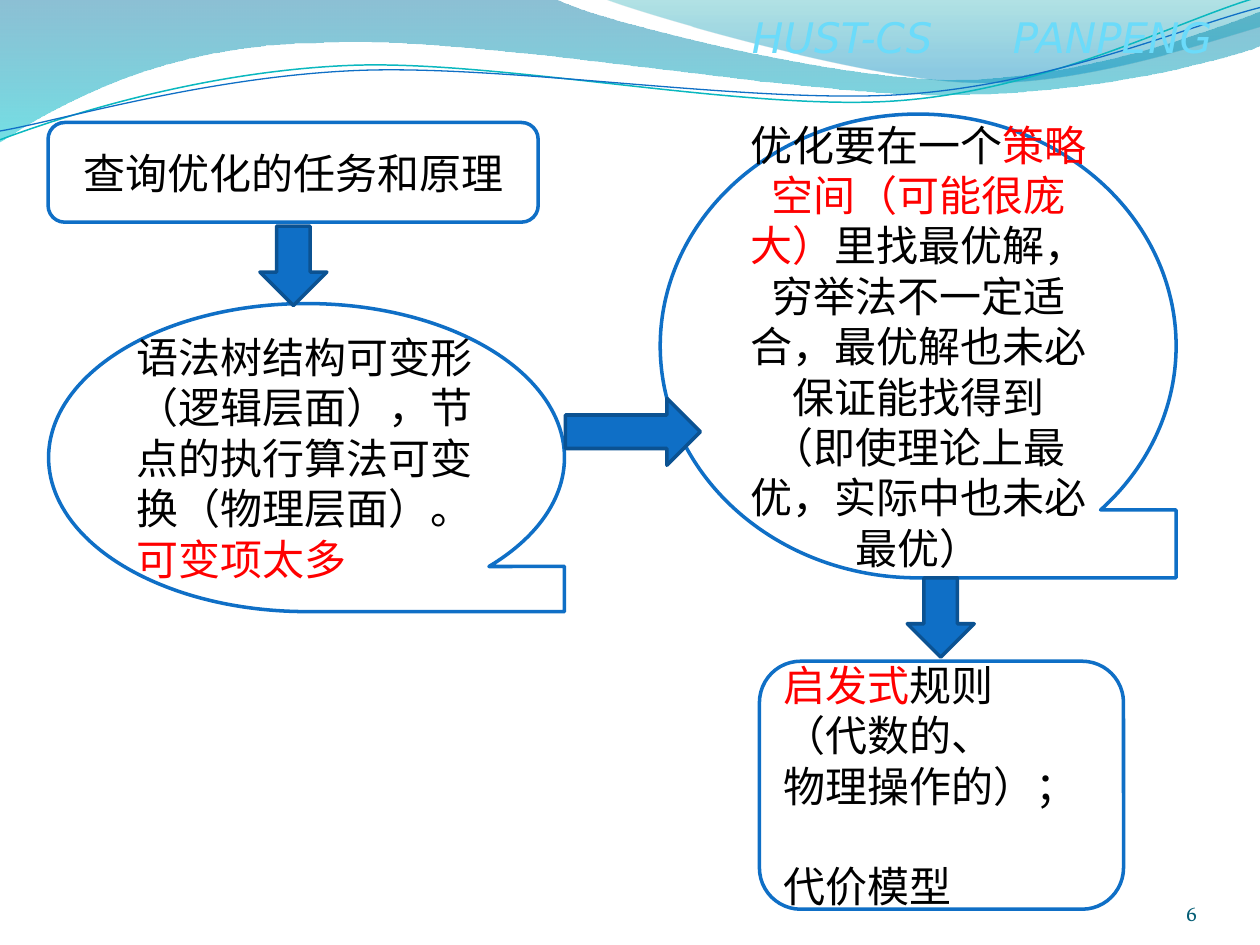
from pptx import Presentation
from pptx.dml.color import RGBColor
from pptx.enum.shapes import MSO_SHAPE as Preset
from pptx.enum.text import MSO_ANCHOR as Anchor, PP_ALIGN as Align
from pptx.oxml.ns import qn
from pptx.util import Cm, Pt
from lxml.etree import SubElement

BLUE = RGBColor(0x0F, 0x6F, 0xC6)
DARK_BLUE = RGBColor(0x0B, 0x52, 0x92)
TEAL = RGBColor(0x0A, 0xB8, 0xBF)
SKY = RGBColor(0x6B, 0xDB, 0xFA)
NUMBER_TEAL = RGBColor(0x04, 0x5D, 0x75)
WHITE = RGBColor(0xFF, 0xFF, 0xFF)
BLACK = RGBColor(0, 0, 0)
RED = RGBColor(0xFF, 0, 0)

CM_PER_INCH = 2.54

BAND_WAVE = [(0, -0.01), (4.4, -0.01), (4.76, 0.17, 6.64, 0.63, 7.58, 0.63),
             (8.53, 0.63, 9.58, 0.26, 10, 0.09), (10.01, 0.36),
             (9.83, 0.44, 8.7, 0.76, 7.46, 0.75),
             (6.22, 0.75, 3.82, 0.28, 2.57, 0.34),
             (1.29, 0.35, 0.46, 0.83, -0.01, 1.13)]
CORNER_WAVE = [(4.79, -0.01), (5.09, 0.11, 6.82, 0.62, 7.69, 0.65),
               (8.56, 0.69, 9.61, 0.32, 10, 0.21), (10, 0)]
TEAL_WAVE = [(0, 1.11), (0.48, 0.93, 1.58, 0.57, 2.77, 0.52),
             (3.95, 0.47, 5.93, 0.89, 7.13, 0.8),
             (8.33, 0.71, 9.38, 0.15, 9.98, -0.02)]
BLUE_WAVE = [(0, 1.04), (0.47, 0.96, 1.64, 0.61, 2.83, 0.56),
             (4.03, 0.51, 5.97, 0.83, 7.17, 0.75),
             (8.36, 0.67, 9.41, 0.21, 10, 0.06)]


def segment_points(segment):
    lengths = [Cm(value * CM_PER_INCH) for value in segment]
    return list(zip(lengths[::2], lengths[1::2]))


class SlideBuilder:
    body_format = {"name": "Vollkorn", "size": Pt(24)}
    asian_font = "Noto Sans CJK SC"
    line_spacing = Pt(28.8)
    outline_width = Pt(2)

    def __init__(self, slide):
        self.slide = slide

    def outline(self, shape, color, width):
        shape.shadow.inherit = False
        shape.line.color.rgb = color
        shape.line.width = width

    def wave(self, segments, closed):
        start, *groups = map(segment_points, segments)
        builder = self.slide.shapes.build_freeform(*start[0], scale=1.0)
        builder.add_line_segments([point for group in groups for point in group], close=closed)
        shape = builder.convert_to_shape()
        shape.shadow.inherit = False
        lines = iter(list(shape._element.spPr.iter(qn("a:lnTo"))))
        for group in groups:
            parts = [next(lines) for _ in group]
            if len(parts) == 3:
                outline = parts[0].getparent()
                curve = outline.makeelement(qn("a:cubicBezTo"))
                parts[0].addprevious(curve)
                for part in parts:
                    curve.append(part[0])
                    outline.remove(part)
        return shape

    def filled_wave(self, segments, stops):
        shape = self.wave(segments, True)
        shape.fill.gradient()
        shape.fill.gradient_angle = 270
        for stop, (position, color, _) in zip(shape.fill.gradient_stops, stops):
            stop.position = position
            stop.color.rgb = RGBColor.from_string(color)
        colors = shape._element.spPr.iter(qn("a:srgbClr"))
        for color, (_, _, opacity) in zip(colors, stops):
            SubElement(color, qn("a:alpha"), val=str(opacity * 1000))
        shape.line.fill.background()

    def line_wave(self, segments, color, width):
        shape = self.wave(segments, False)
        shape.fill.background()
        self.outline(shape, color, width)

    def write_run(self, paragraph, text, color, formats):
        run = paragraph.add_run()
        run.text = text
        for name, value in formats.items():
            setattr(run.font, name, value)
        run.font.color.rgb = color
        SubElement(run._r.get_or_add_rPr(), qn("a:ea"), typeface=self.asian_font)

    def node(self, preset, position, paragraphs, alignment, last_gap=None):
        shape = self.slide.shapes.add_shape(preset, *map(Cm, position))
        shape.fill.solid()
        shape.fill.fore_color.rgb = WHITE
        self.outline(shape, BLUE, self.outline_width)
        frame = shape.text_frame
        frame.word_wrap = True
        frame.vertical_anchor = Anchor.MIDDLE
        for index, runs in enumerate(paragraphs):
            paragraph = frame.add_paragraph() if index else frame.paragraphs[0]
            paragraph.alignment = alignment
            paragraph.line_spacing = self.line_spacing
            paragraph._p.get_or_add_pPr().set("hangingPunct", "0")
            for text, color in runs:
                self.write_run(paragraph, text, color, self.body_format)
        if last_gap:
            paragraph.space_before = last_gap

    def arrow(self, preset, position):
        shape = self.slide.shapes.add_shape(preset, *map(Cm, position))
        shape.fill.solid()
        shape.fill.fore_color.rgb = BLUE
        self.outline(shape, DARK_BLUE, self.outline_width)

    def label(self, position, text, color, formats, frame_formats, tab=None):
        frame = self.slide.shapes.add_textbox(*map(Cm, position)).text_frame
        frame.word_wrap = True
        for name, value in frame_formats.items():
            setattr(frame, name, value)
        paragraph = frame.paragraphs[0]
        if tab:
            tabs = SubElement(paragraph._p.get_or_add_pPr(), qn("a:tabLst"))
            SubElement(tabs, qn("a:tab"), pos=str(Cm(tab)), algn="l")
        self.write_run(paragraph, text, color, formats)
        return paragraph


def main():
    presentation = Presentation()
    presentation.slide_width, presentation.slide_height = Cm(25.4), Cm(19.05)
    builder = SlideBuilder(presentation.slides.add_slide(presentation.slide_layouts[6]))

    builder.filled_wave(BAND_WAVE, [(0, "0074A1", 45), (1, "00C6CF", 55)])
    builder.filled_wave(CORNER_WAVE, [(0, "00A1A9", 30), (0.8, "008BBF", 45)])
    builder.line_wave(TEAL_WAVE, TEAL, Pt(0.85))
    builder.line_wave(BLUE_WAVE, BLUE, Pt(0.75))

    builder.label((14.91, 0.1, 10.29, 1.27), "HUST-CS\tPANPENG", SKY,
                  {"name": "DejaVu Sans", "size": Pt(24), "italic": True}, {}, tab=5.26)
    margins = dict.fromkeys(("margin_left", "margin_top", "margin_right", "margin_bottom"), 0)
    number = builder.label((22.02, 17.65, 2.11, 1.02), "6", NUMBER_TEAL,
                           {"name": "Vollkorn", "size": Pt(12)},
                           {"vertical_anchor": Anchor.BOTTOM, **margins})
    number.alignment = Align.RIGHT

    tape, rounded = Preset.FLOWCHART_SEQUENTIAL_ACCESS_STORAGE, Preset.ROUNDED_RECTANGLE
    builder.node(rounded, (0.97, 2.47, 9.88, 2.01),
                 [[("查询优化的任务和原理", BLACK)]], Align.CENTER)
    builder.node(tape, (0.98, 6.12, 10.4, 6.21),
                 [[("语法树结构可变形（逻辑层面），节点的执行算法可变换（物理层面）。", BLACK)],
                  [("可变项太多", RED)]], Align.LEFT)
    builder.node(tape, (13.31, 2.3, 10.4, 9.35),
                 [[("优化要在一个", BLACK), ("策略空间（可能很庞大）", RED),
                   ("里找最优解，穷举法不一定适合，最优解也未必保证能找得到", BLACK)],
                  [("（即使理论上最优，实际中也未必最优）", BLACK)]], Align.CENTER)
    builder.node(rounded, (15.31, 13.33, 7.34, 5),
                 [[("启发式", RED), ("规则", BLACK)], [("（代数的、", BLACK)],
                  [("物理操作的）；", BLACK)], [("代价模型", BLACK)]],
                 Align.LEFT, last_gap=builder.line_spacing)

    builder.arrow(Preset.DOWN_ARROW, (5.24, 4.56, 1.35, 1.6))
    builder.arrow(Preset.RIGHT_ARROW, (11.4, 8.03, 2.72, 1.35))
    builder.arrow(Preset.DOWN_ARROW, (18.29, 11.65, 1.35, 1.6))

    presentation.save("out.pptx")


if __name__ == "__main__":
    main()
